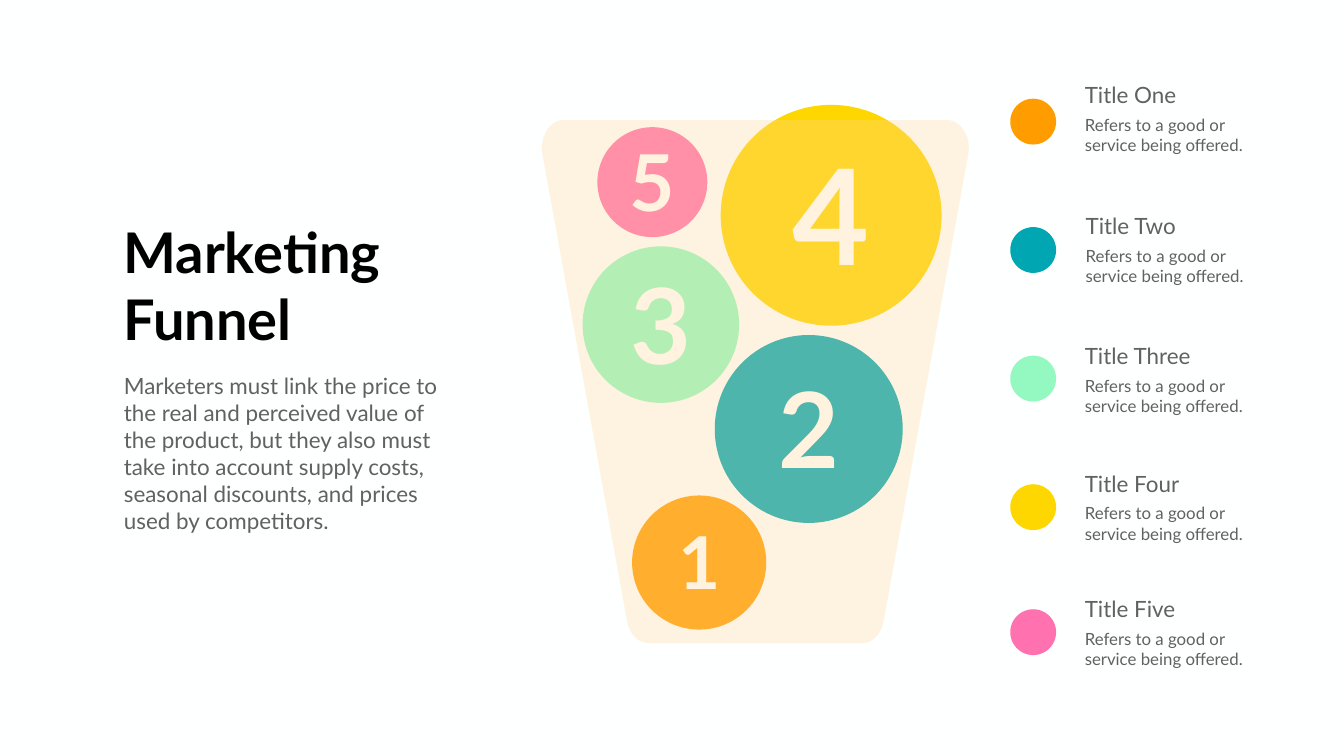
from dataclasses import dataclass

from lxml import etree
from pptx import Presentation
from pptx.dml.color import RGBColor
from pptx.enum.shapes import MSO_SHAPE
from pptx.enum.text import MSO_ANCHOR, PP_ALIGN
from pptx.oxml.ns import qn
from pptx.util import Cm, Pt

OVAL = MSO_SHAPE.OVAL
MIDDLE = MSO_ANCHOR.MIDDLE
CENTER = PP_ALIGN.CENTER


@dataclass(frozen=True)
class Theme:
    font: str = "Lato"
    background: str = "FEFFFF"
    title: str = "000000"
    text: str = "616161"
    digit: str = "FFFFFF"
    funnel: str = "FFD899"
    funnel_opacity: int = 30
    orange: str = "FF9D00"
    teal: str = "00A7B3"
    mint: str = "93F9C0"
    yellow: str = "FED600"
    pink: str = "FF72AF"
    title_size: int = 80
    text_size: int = 32
    note_size: int = 24


THEME = Theme()

# Content; all lengths are in centimetres
TITLE = "Marketing Funnel"
INTRO = ("Marketers must link the price to the real and perceived value of the "
         "product, but they also must take into account supply costs, seasonal "
         "discounts, and prices used by competitors.")
NOTE = ["Refers to a good or", "service being offered."]

# Heading, dot colour, dot centre, heading left, heading top, heading width
LEGEND = [
    ("Title One", THEME.orange, 6.13, 54.41, 3.96, 5.26),
    ("Title Two", THEME.teal, 12.6, 54.45, 10.59, 5.28),
    ("Title Three", THEME.mint, 19.08, 54.41, 17.11, 5.99),
    ("Title Four", THEME.yellow, 25.56, 54.41, 23.55, 5.41),
    ("Title Five", THEME.pink, 31.86, 54.41, 29.88, 5.16),
]

# Number, colour, centre x, centre y, diameter, type size
BUBBLES = [
    ("1", THEME.orange, 35.23, 28.35, 6.76, 104),
    ("2", THEME.teal, 40.75, 21.62, 9.47, 150),
    ("3", THEME.mint, 33.3, 16.36, 7.89, 150),
    ("5", THEME.pink, 32.87, 9.18, 5.54, 112),
    ("4", THEME.yellow, 41.88, 10.85, 11.13, 190),
]

# Rounded corners on the right of the funnel: Bezier points as (offset from axis, y)
FUNNEL_AXIS = 38.06
BOTTOM_CORNER = [(5.37, 32.41), (5.91, 32.41), (6.34, 31.95), (6.46, 31.32)]
TOP_CORNER = [(10.73, 7.77), (10.88, 6.91), (10.38, 6.05), (9.64, 6.05)]
CURVE_STEPS = 16

DOT_CENTER_X, DOT_SIZE = 52.06, 2.31
NOTE_DROP = 1.68
DIGIT_LIFT = 0.25


def paint(shape, color):
    shape.shadow.inherit = False
    shape.fill.solid()
    shape.fill.fore_color.rgb = RGBColor.from_string(color)
    shape.line.fill.background()


def style(para, size, color, bold=False):
    para.font.name = THEME.font
    para.font.size = Pt(size)
    para.font.bold = bold
    para.font.color.rgb = RGBColor.from_string(color)


def add_circle(page, x, y, size, color):
    circle = page.shapes.add_shape(
        OVAL, Cm(x - size / 2), Cm(y - size / 2), Cm(size), Cm(size))
    paint(circle, color)
    return circle


def add_text(page, lines, area, size, color=THEME.text, bold=False, wrap=False):
    frame = page.shapes.add_textbox(*map(Cm, area)).text_frame
    frame.word_wrap = wrap
    frame.text = "\n".join(lines)
    for para in frame.paragraphs:
        style(para, size, color, bold)


def add_bubble(page, number, color, x, y, diameter, size):
    frame = add_circle(page, x, y, diameter, color).text_frame
    frame.margin_left = frame.margin_right = frame.margin_top = 0
    frame.margin_bottom = Cm(DIGIT_LIFT)
    frame.word_wrap = False
    frame.vertical_anchor = MIDDLE
    frame.text = number
    para = frame.paragraphs[0]
    para.alignment = CENTER
    style(para, size, THEME.digit, bold=True)


def bezier(corner):
    points = []
    for step in range(CURVE_STEPS + 1):
        t = step / CURVE_STEPS
        weights = ((1 - t) ** 3, 3 * t * (1 - t) ** 2, 3 * t * t * (1 - t), t ** 3)
        points.append(tuple(sum(w * p[axis] for w, p in zip(weights, corner))
                            for axis in (0, 1)))
    return points


def add_funnel(page):
    half = bezier(BOTTOM_CORNER) + bezier(TOP_CORNER)
    mirrored = [(-offset, y) for offset, y in reversed(half)]
    outline = [(Cm(FUNNEL_AXIS + offset), Cm(y)) for offset, y in half + mirrored]
    builder = page.shapes.build_freeform(*outline[0])
    builder.add_line_segments(outline[1:], close=True)
    funnel = builder.convert_to_shape()
    paint(funnel, THEME.funnel)
    color = funnel.fill._xPr.find(qn("a:solidFill"))[0]
    etree.SubElement(color, qn("a:alpha")).set("val", str(THEME.funnel_opacity * 1000))


def main():
    deck = Presentation()
    deck.slide_width, deck.slide_height = Cm(67.72), Cm(38.1)
    page = deck.slides.add_slide(deck.slide_layouts[6])
    page.background.fill.solid()
    page.background.fill.fore_color.rgb = RGBColor.from_string(THEME.background)

    # Numbered bubbles
    for bubble in BUBBLES:
        add_bubble(page, *bubble)

    # Title and introduction
    add_text(page, [TITLE], (5.97, 10.82, 14.15, 7.09), THEME.title_size,
             THEME.title, bold=True, wrap=True)
    add_text(page, [INTRO], (5.99, 18.64, 16.84, 8.46), THEME.text_size, wrap=True)

    # Legend
    for heading, color, dot_y, left, top, width in LEGEND:
        add_circle(page, DOT_CENTER_X, dot_y, DOT_SIZE, color)
        add_text(page, NOTE, (left, top + NOTE_DROP, 8.61, 2.31), THEME.note_size)
        add_text(page, [heading], (left, top, width, 1.63), THEME.text_size)

    # Translucent funnel over the bubbles
    add_funnel(page)

    deck.save("out.pptx")


if __name__ == "__main__":
    main()
